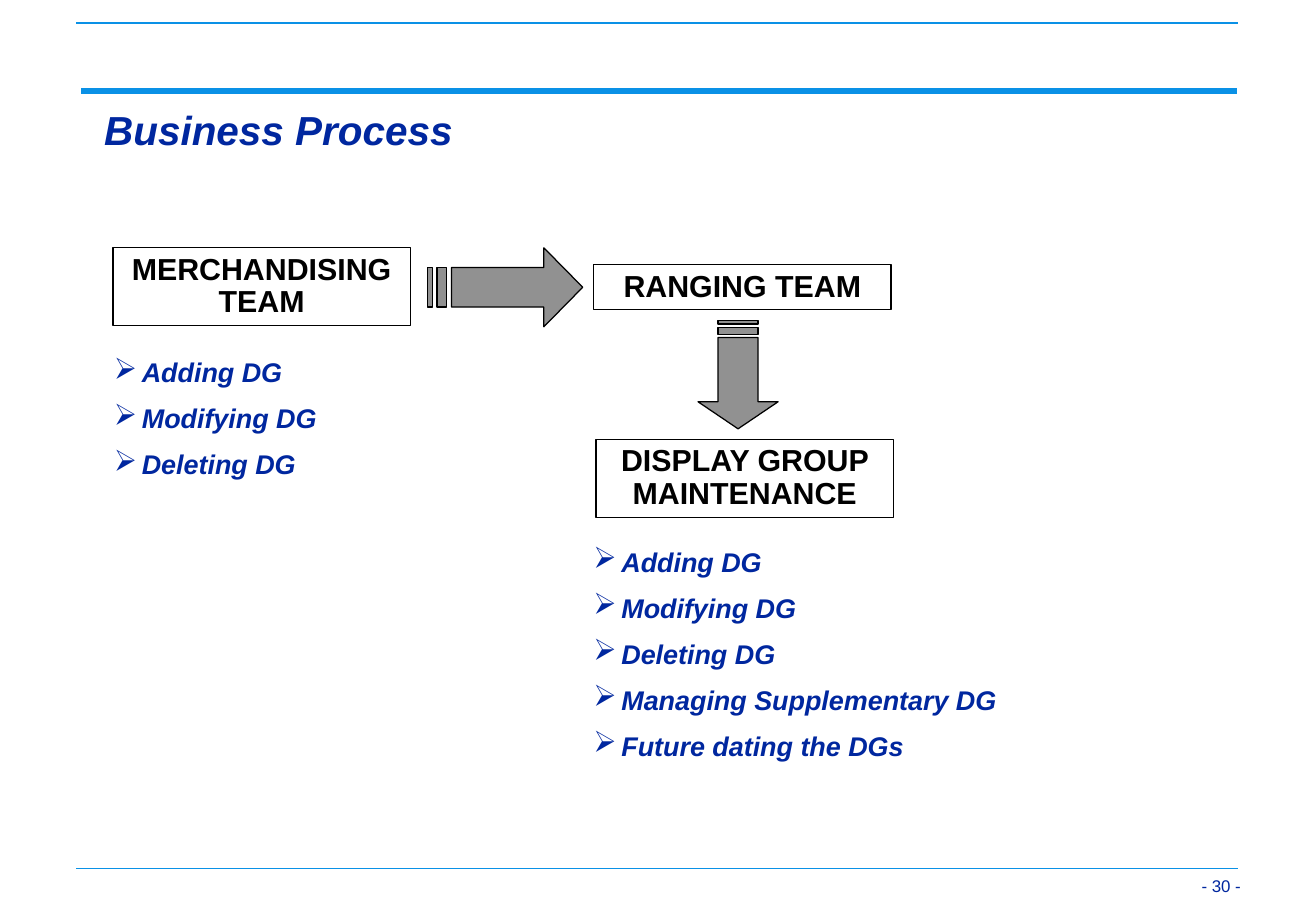
from dataclasses import dataclass

from lxml.etree import SubElement
from pptx import Presentation
from pptx.dml.color import RGBColor
from pptx.enum.shapes import MSO_CONNECTOR, MSO_SHAPE
from pptx.enum.text import MSO_ANCHOR as Anchor, MSO_AUTO_SIZE as AutoSize, PP_ALIGN as Align
from pptx.oxml.ns import qn
from pptx.util import Pt

PX = 9144


@dataclass(frozen=True)
class Theme:
    font: str = "Arial"
    navy: RGBColor = RGBColor(0x00, 0x27, 0x9F)
    blue: RGBColor = RGBColor(0x0A, 0x91, 0xE6)
    black: RGBColor = RGBColor(0x00, 0x00, 0x00)
    grey: RGBColor = RGBColor(0x91, 0x91, 0x91)
    title: int = 24
    team: int = 18
    step: int = 16
    page: int = 10


theme = Theme()


def write(shape, lines, size, color, italic=False, bold=True, align=Align.LEFT,
          anchor=Anchor.TOP, margins=(10, 5), bullet=None):
    frame = shape.text_frame
    frame.word_wrap = True
    frame.auto_size = AutoSize.SHAPE_TO_FIT_TEXT
    frame.vertical_anchor = anchor
    frame.margin_left = frame.margin_right = margins[0] * PX
    frame.margin_top = frame.margin_bottom = margins[1] * PX
    frame.text = "\n".join(lines)
    for index, paragraph in enumerate(frame.paragraphs):
        if bullet:
            properties = paragraph._p.get_or_add_pPr()
            properties.set("marL", str(23 * PX))
            properties.set("indent", str(-23 * PX))
            bullet_color = SubElement(properties, qn("a:buClr"))
            SubElement(bullet_color, qn("a:srgbClr"), val=str(color))
            SubElement(properties, qn("a:buSzPct"), val="110000")
            SubElement(properties, qn("a:buChar"), char=bullet)
        paragraph.alignment = align
        paragraph.line_spacing = 0.9
        paragraph.space_before = Pt(10 if index else 0)
        paragraph.font.name = theme.font
        paragraph.font.size = Pt(size)
        paragraph.font.bold = bold
        paragraph.font.italic = italic
        paragraph.font.color.rgb = color


presentation = Presentation()
presentation.slide_width = 1084 * PX
presentation.slide_height = 750 * PX
slide = presentation.slides.add_slide(presentation.slide_layouts[6])
shapes = slide.shapes

rules = [
    (67, 1019, 75, theme.blue, 4),
    (63, 1020, 19, theme.black, 1),
    (63, 1020, 19, theme.blue, 1),
    (63, 1020, 715, theme.blue, 1),
]
for left, right, y, color, weight in rules:
    rule = shapes.add_connector(MSO_CONNECTOR.STRAIGHT, left * PX, y * PX, right * PX, y * PX)
    rule.line.color.rgb = color
    rule.line.width = Pt(weight)
    SubElement(rule._element.spPr, qn("a:effectLst"))

page_number = shapes.add_textbox(969 * PX, 702 * PX, 60 * PX, 39 * PX)
write(page_number, ["- 30 -"], theme.page, theme.navy, bold=False,
      align=Align.RIGHT, anchor=Anchor.BOTTOM, margins=(7, 3))

title = shapes.add_textbox(76 * PX, 86 * PX, 784 * PX, 46 * PX)
write(title, ["Business Process"], theme.title, theme.navy, italic=True)

teams = [
    (93, 204, 64, "MERCHANDISING TEAM"),
    (489, 218, 37, "RANGING TEAM"),
    (491, 362, 64, "DISPLAY GROUP MAINTENANCE"),
]
for left, top, height, name in teams:
    box = shapes.add_shape(MSO_SHAPE.RECTANGLE, left * PX, top * PX, 245 * PX, height * PX)
    box.shadow.inherit = False
    box.fill.background()
    box.line.color.rgb = theme.black
    box.line.width = Pt(0.75)
    write(box, [name], theme.team, theme.black, align=Align.CENTER, anchor=Anchor.MIDDLE)

arrow_outlines = [
    [(5 / 32, 1 / 4), (3 / 4, 1 / 4), (3 / 4, 0), (1, 1 / 2),
     (3 / 4, 1), (3 / 4, 3 / 4), (5 / 32, 3 / 4)],
    [(0, 1 / 4), (1 / 32, 1 / 4), (1 / 32, 3 / 4), (0, 3 / 4)],
    [(1 / 16, 1 / 4), (1 / 8, 1 / 4), (1 / 8, 3 / 4), (1 / 16, 3 / 4)],
]
arrows = [(352, 204, 128, 65, False), (575, 264, 89, 66, True)]
for left, top, length, breadth, points_down in arrows:
    outlines = []
    for outline in arrow_outlines:
        offsets = [(along * length, across * breadth) for along, across in outline]
        if points_down:
            offsets = [(across, along) for along, across in offsets]
        outlines.append([((left + x) * PX, (top + y) * PX) for x, y in offsets])
    builder = shapes.build_freeform(*outlines[0][0])
    builder.add_line_segments(outlines[0][1:], close=True)
    for stripe in outlines[1:]:
        builder.move_to(*stripe[0])
        builder.add_line_segments(stripe[1:], close=True)
    arrow = builder.convert_to_shape()
    arrow.shadow.inherit = False
    arrow.fill.solid()
    arrow.fill.fore_color.rgb = theme.grey
    arrow.line.color.rgb = theme.black
    arrow.line.width = Pt(0.75)

basic_steps = ["Adding DG", "Modifying DG", "Deleting DG"]
step_lists = [
    (84, 291, 245, 110, basic_steps),
    (479, 447, 382, 186, basic_steps + ["Managing Supplementary DG", "Future dating the DGs"]),
]
for left, top, width, height, steps in step_lists:
    step_list = shapes.add_textbox(left * PX, top * PX, width * PX, height * PX)
    write(step_list, steps, theme.step, theme.navy, italic=True, bullet="➢")

presentation.save("out.pptx")
